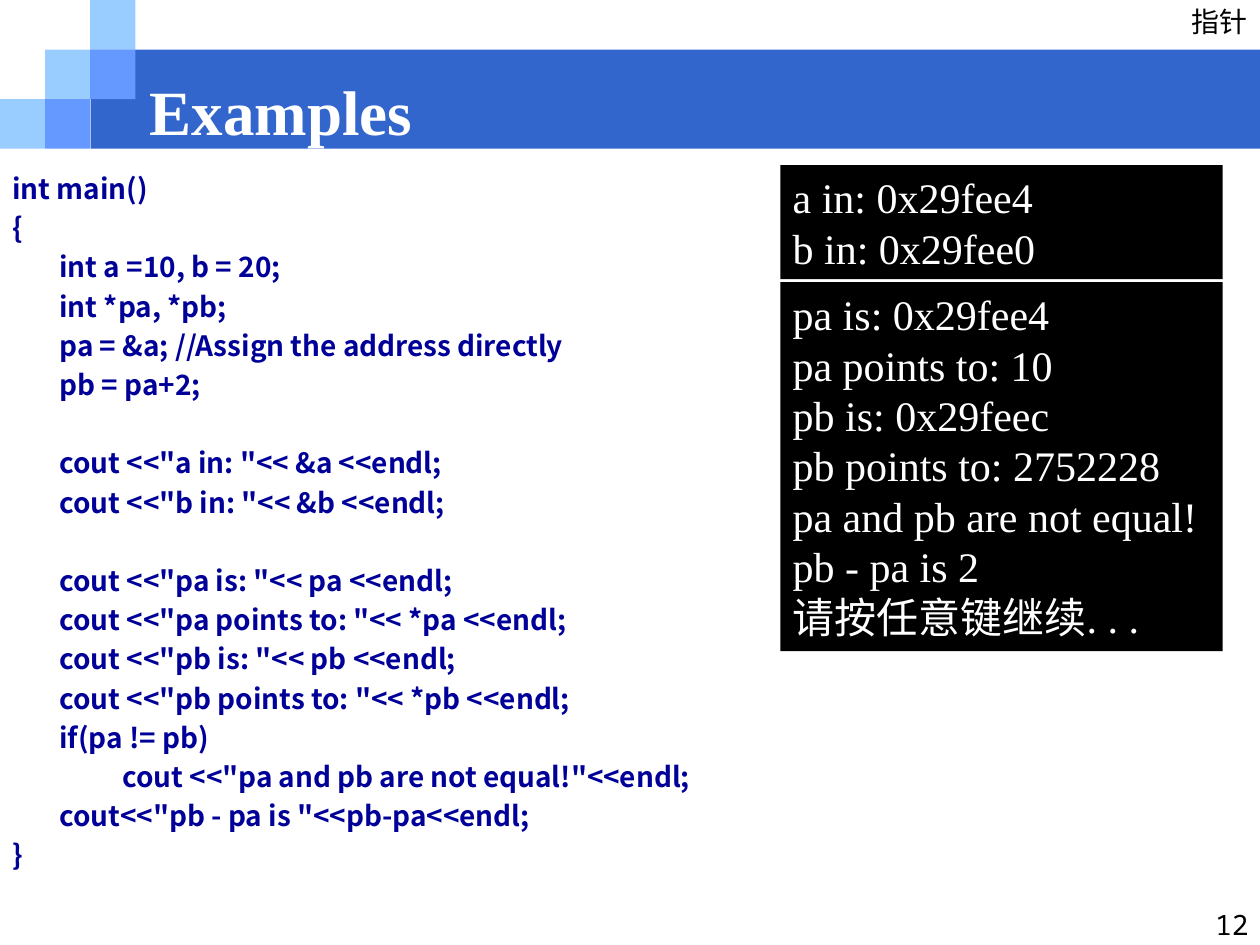
from pptx import Presentation
from pptx.dml.color import RGBColor
from pptx.enum.shapes import MSO_SHAPE
from pptx.enum.text import MSO_ANCHOR, PP_ALIGN
from pptx.oxml.ns import qn
from pptx.util import Cm, Pt

RECT = MSO_SHAPE.RECTANGLE
TOP, MIDDLE = MSO_ANCHOR.TOP, MSO_ANCHOR.MIDDLE
LEFT, RIGHT = PP_ALIGN.LEFT, PP_ALIGN.RIGHT

THEME = {
    "band": "3366CC",
    "light": "99CCFF",
    "mid": "6699FF",
    "console": "000000",
    "title": {"name": "Times New Roman", "size": 36, "color": "FFFFFF", "bold": True},
    "code": {"name": "Noto Sans CJK SC", "size": 16, "color": "000099", "bold": True},
    "output": {"name": "Times New Roman", "size": 24, "color": "FFFFFF", "bold": False},
    "topic": {"name": "Noto Sans CJK SC", "size": 16, "color": "000000", "bold": False},
    "number": {"name": "Noto Sans Mono", "size": 16, "color": "000000", "bold": False},
}
LINE_FACTOR = 1.2
CELL_W, CELL_H = 0.91, 1.0


def add_rect(s, box, color):
    sp = s.shapes.add_shape(RECT, *map(Cm, box))
    sp.shadow.inherit = False
    sp.fill.solid()
    sp.fill.fore_color.rgb = RGBColor.from_string(color)
    sp.line.fill.background()
    return sp


def write(sp, lines, style, align=LEFT, anchor=TOP, wrap=True):
    tf = sp.text_frame
    frame = {"word_wrap": wrap, "vertical_anchor": anchor,
             "margin_left": Cm(0.25), "margin_right": Cm(0.25),
             "margin_top": Cm(0.13), "margin_bottom": Cm(0.13)}
    for key, value in frame.items():
        setattr(tf, key, value)
    for i, line in enumerate(lines):
        p = tf.add_paragraph() if i else tf.paragraphs[0]
        p.alignment = align
        p.line_spacing = Pt(style["size"] * LINE_FACTOR)
        r = p.add_run()
        r.text = line
        font = {"name": style["name"], "size": Pt(style["size"]), "bold": style["bold"]}
        for key, value in font.items():
            setattr(r.font, key, value)
        r.font.color.rgb = RGBColor.from_string(style["color"])
        ea = r.font._element.makeelement(qn("a:ea"), {"typeface": "Noto Sans CJK SC"})
        r.font._element.append(ea)
    return tf


prs = Presentation()
prs.slide_width, prs.slide_height = Cm(25.4), Cm(19.05)
s = prs.slides.add_slide(prs.slide_layouts[5])

add_rect(s, (1.83, 1, 23.57, 2), THEME["band"])
for col, row, tone in [(0, 2, "light"), (1, 1, "light"), (2, 0, "light"),
                       (2, 1, "mid"), (1, 2, "mid")]:
    add_rect(s, (col * CELL_W, row * CELL_H, CELL_W, CELL_H), THEME[tone])

topic = s.shapes.add_textbox(Cm(23.75), Cm(-0.03), Cm(1.65), Cm(0.94))
write(topic, ["指针"], THEME["topic"], RIGHT, wrap=False)
number = s.shapes.add_textbox(Cm(23.95), Cm(18.16), Cm(1.47), Cm(0.89))
write(number, ["12"], THEME["number"], RIGHT)

code_blocks = [
    ["int main()",
     "{",
     "\tint a =10, b = 20;",
     "\tint *pa, *pb;",
     "\tpa = &a; //Assign the address directly",
     "\tpb = pa+2;"],
    ['\tcout <<"a in: "<< &a <<endl;',
     '\tcout <<"b in: "<< &b <<endl;'],
    ['\tcout <<"pa is: "<< pa <<endl;',
     '\tcout <<"pa points to: "<< *pa <<endl;',
     '\tcout <<"pb is: "<< pb <<endl;',
     '\tcout <<"pb points to: "<< *pb <<endl;',
     "\tif(pa != pb)",
     '\t\tcout <<"pa and pb are not equal!"<<endl;',
     '\tcout<<"pb - pa is "<<pb-pa<<endl;',
     "}"],
]
code = s.shapes.add_textbox(Cm(0), Cm(3.33), Cm(21.56), Cm(15.47))
tf = write(code, sum(code_blocks, []), THEME["code"])
block_starts = [len(code_blocks[0]), len(code_blocks[0] + code_blocks[1])]
for i, p in enumerate(tf.paragraphs):
    pPr = p._p.get_or_add_pPr()
    pPr.set("marL", str(Cm(0.95)))
    pPr.set("indent", str(Cm(-0.95)))
    if i:
        p.space_before = Pt(25.6 if i in block_starts else 3.2)

addresses = add_rect(s, (15.73, 3.33, 8.92, 2.3), THEME["console"])
write(addresses, ["a in: 0x29fee4", "b in: 0x29fee0"], THEME["output"])

title = s.shapes.title
title.left, title.top, title.width, title.height = Cm(2.77), Cm(1.55), Cm(20.52), Cm(1.35)
write(title, ["Examples"], THEME["title"], anchor=MIDDLE)
title.element.getparent().append(title.element)

results = add_rect(s, (15.73, 5.69, 8.92, 7.44), THEME["console"])
write(results, ["pa is: 0x29fee4", "pa points to: 10", "pb is: 0x29feec",
                "pb points to: 2752228", "pa and pb are not equal!",
                "pb - pa is 2", "请按任意键继续. . ."], THEME["output"])

prs.save("out.pptx")
